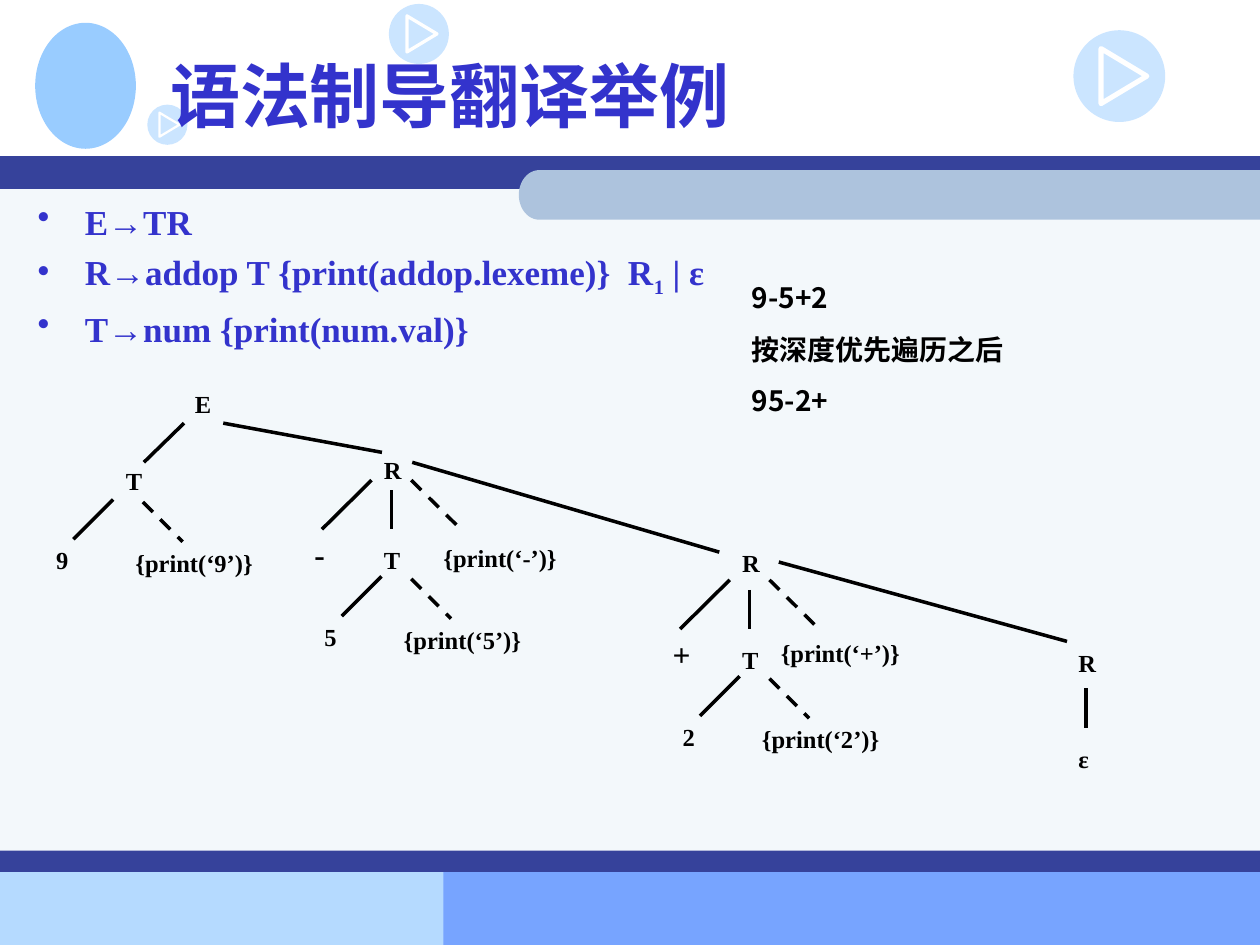
"""Build a slide on syntax-directed translation with its annotated parse tree."""
from math import cos, pi, sin
from typing import NamedTuple

from pptx import Presentation
from pptx.dml.color import RGBColor
from pptx.enum.dml import MSO_LINE_DASH_STYLE as Dash
from pptx.enum.shapes import MSO_CONNECTOR as Conn, MSO_SHAPE as Shp
from pptx.enum.text import MSO_ANCHOR as Anchor
from pptx.oxml.ns import qn
from pptx.util import Cm, Pt
from lxml.etree import SubElement

INK = RGBColor(0x33, 0x33, 0xCC)
BLACK = RGBColor(0, 0, 0)
WHITE = RGBColor(0xFF, 0xFF, 0xFF)
NAVY = RGBColor(0x36, 0x42, 0x9B)
PALE = RGBColor(0xF3, 0xF8, 0xFB)
STEEL = RGBColor(0xAD, 0xC3, 0xDD)
ICE = RGBColor(0xB5, 0xDA, 0xFF)
BLUE = RGBColor(0x77, 0xA4, 0xFF)
SKY = RGBColor(0x99, 0xCC, 0xFF)
SERIF = "Times New Roman"
SANS = "Noto Sans CJK SC"


class Block(NamedTuple):
    x: float
    y: float
    w: float
    h: float
    color: RGBColor
    kind: Shp = Shp.RECTANGLE


class PlayIcon(NamedTuple):
    x: float
    y: float
    size: float


class Label(NamedTuple):
    text: str
    x: float
    y: float
    w: float = 0.81
    size: int = 14


class Edge(NamedTuple):
    x1: float
    y1: float
    x2: float
    y2: float
    dashed: bool = False


class Leaf(NamedTuple):
    value: str
    x: float
    y: float


class Rest(NamedTuple):
    op: str
    x: float
    y: float
    action_x: float
    action_y: float


BLOCKS = [
    Block(0, 17.58, 10.8, 1.47, ICE),
    Block(8.94, 17.55, 16.46, 1.5, BLUE),
    Block(0, 3.56, 25.4, 14, PALE),
    Block(0, 3.15, 25.4, 0.66, NAVY),
    Block(0, 17.15, 25.4, 0.43, NAVY),
    Block(0.71, 0.46, 2.03, 2.54, SKY, Shp.OVAL),
]
ICONS = [PlayIcon(7.84, 0.08, 1.21), PlayIcon(21.64, 0.61, 1.85), PlayIcon(2.97, 2.11, 0.81)]
LABELS = [Label("E", 3.68, 7.72), Label("T", 2.29, 9.27), Label("R", 7.49, 9.04),
          Label("R", 14.71, 10.92), Label("R", 21.49, 12.93), Label("ε", 21.49, 14.88)]
EDGES = [Edge(3.71, 8.53, 2.9, 9.32), Edge(4.5, 8.53, 7.7, 9.12), Edge(8.31, 9.32, 14.5, 11.13),
         Edge(15.7, 11.33, 21.51, 12.93), Edge(21.89, 13.87, 21.89, 14.68)]
RESTS = [Rest("-", 7.49, 9.04, 8.69, 10.82), Rest("+", 14.71, 11.05, 15.49, 12.73)]
LEAVES = [Leaf("9", 2.08, 9.32), Leaf("5", 7.49, 10.87), Leaf("2", 14.71, 12.88)]
RULES = [
    [("E→TR", False)],
    [("R→addop T {print(addop.lexeme)}  R", False), ("1", True), (" | ε", False)],
    [("T→num {print(num.val)}", False)],
]
RESULT = ["9-5+2", "按深度优先遍历之后", "95-2+"]


def paint(sp, color: RGBColor) -> None:
    sp.shadow.inherit = False
    sp.fill.solid()
    sp.fill.fore_color.rgb = color
    sp.line.fill.background()


def add_block(s, b: Block):
    sp = s.shapes.add_shape(b.kind, Cm(b.x), Cm(b.y), Cm(b.w), Cm(b.h))
    paint(sp, b.color)
    return sp


def add_outline(s, points: list[tuple[float, float]]):
    pts = [(Cm(x), Cm(y)) for x, y in points]
    fb = s.shapes.build_freeform(*pts[0])
    fb.add_line_segments(pts[1:], close=True)
    return fb.convert_to_shape()


def add_band(s) -> None:
    arc = [pi / 2 + pi * i / 24 for i in range(25)]
    curve = [(10.87 + 0.41 * cos(a), 3.93 - 0.5 * sin(a)) for a in arc]
    paint(add_outline(s, [(25.4, 3.43), *curve, (25.4, 4.43)]), STEEL)


def add_icon(s, i: PlayIcon) -> None:
    disc = add_block(s, Block(i.x, i.y, i.size, i.size, SKY, Shp.OVAL))
    color = disc.fill._xPr.find(qn("a:solidFill"))[0]
    SubElement(color, qn("a:alpha"), val="50000")
    corners = [(0.3, 0.2), (0.8, 0.5), (0.3, 0.8)]
    sp = add_outline(s, [(i.x + i.size * u, i.y + i.size * v) for u, v in corners])
    sp.shadow.inherit = False
    sp.fill.background()
    sp.line.color.rgb = WHITE
    sp.line.width = Cm(i.size * 0.055)
    SubElement(sp.line._get_or_add_ln(), qn("a:round"))


def add_box(s, x: float, y: float, w: float, h: float):
    tf = s.shapes.add_textbox(Cm(x), Cm(y), Cm(w), Cm(h)).text_frame
    tf.word_wrap = True
    return tf


def add_run(p, text: str, size: int, color: RGBColor, font: str = SERIF):
    r = p.add_run()
    r.text = text
    r.font.size = Pt(size)
    r.font.bold = True
    r.font.name = font
    r.font.color.rgb = color
    if font == SANS:
        SubElement(r._r.get_or_add_rPr(), qn("a:ea"), typeface=font)
    return r


def add_label(s, n: Label) -> None:
    tf = add_box(s, n.x, n.y, n.w, 1.02 if n.size > 14 else 0.86)
    add_run(tf.paragraphs[0], n.text, n.size, BLACK)


def add_action(s, symbol: str, x: float, y: float) -> None:
    add_label(s, Label(f"{{print(‘{symbol}’)}}", x, y, 3))


def add_edge(s, e: Edge) -> None:
    c = s.shapes.add_connector(Conn.STRAIGHT, Cm(e.x1), Cm(e.y1), Cm(e.x2), Cm(e.y2))
    c.line.color.rgb = BLACK
    c.line.width = Pt(2)
    if e.dashed:
        c.line.dash_style = Dash.DASH
    SubElement(c._element.spPr, qn("a:effectLst"))


def add_leaf(s, n: Leaf) -> None:
    add_edge(s, Edge(n.x + 0.2, n.y + 0.75, n.x - 0.6, n.y + 1.55))
    add_edge(s, Edge(n.x + 0.8, n.y + 0.8, n.x + 1.6, n.y + 1.6, True))
    add_label(s, Label(n.value, n.x - 1.2, n.y + 1.55))
    add_action(s, n.value, n.x + 0.4, n.y + 1.6)


def add_rest(s, n: Rest) -> None:
    top, low = n.y + 0.64, n.y + 1.63
    add_edge(s, Edge(n.x, top, n.x - 1, low))
    add_edge(s, Edge(n.x + 0.4, top + 0.2, n.x + 0.4, low))
    add_edge(s, Edge(n.x + 0.8, top, n.x + 1.8, low, True))
    add_label(s, Label(n.op, n.x - 1.4, low, size=18))
    add_label(s, Label("T", n.x, n.y + 1.83))
    add_action(s, n.op, n.action_x, n.action_y)


def add_bullet(p) -> None:
    pPr = p._p.get_or_add_pPr()
    pPr.set("marL", str(Cm(0.95)))
    pPr.set("indent", str(-Cm(0.95)))
    SubElement(SubElement(pPr, qn("a:buClr")), qn("a:srgbClr"), val=str(INK))
    SubElement(pPr, qn("a:buChar"), char="•")


def add_texts(s) -> None:
    tf = add_box(s, 3.18, 0.43, 21.59, 2.97)
    tf.vertical_anchor = Anchor.MIDDLE
    add_run(tf.paragraphs[0], "语法制导翻译举例", 40, INK, SANS)
    tf = add_box(s, 0.51, 3.91, 24.41, 12.6)
    for i, rule in enumerate(RULES):
        p = tf.add_paragraph() if i else tf.paragraphs[0]
        add_bullet(p)
        p.space_before = Pt(5 if i else 0)
        for text, lowered in rule:
            r = add_run(p, text, 20, INK)
            if lowered:
                r._r.get_or_add_rPr().set("baseline", "-25000")
    tf = add_box(s, 14.91, 5.54, 8.2, 3)
    for i, text in enumerate(RESULT):
        p = tf.add_paragraph() if i else tf.paragraphs[0]
        p.space_before = Pt(10 if i else 0)
        p.line_spacing = Pt(19.2)
        add_run(p, text, 16, BLACK, SANS)


def main() -> None:
    prs = Presentation()
    prs.slide_width, prs.slide_height = Cm(25.4), Cm(19.05)
    s = prs.slides.add_slide(prs.slide_layouts[6])
    for draw, items in ((add_block, BLOCKS), (add_icon, ICONS)):
        for item in items:
            draw(s, item)
    add_band(s)
    add_texts(s)
    for draw, items in ((add_edge, EDGES), (add_label, LABELS), (add_rest, RESTS), (add_leaf, LEAVES)):
        for item in items:
            draw(s, item)
    prs.save("out.pptx")


if __name__ == "__main__":
    main()
